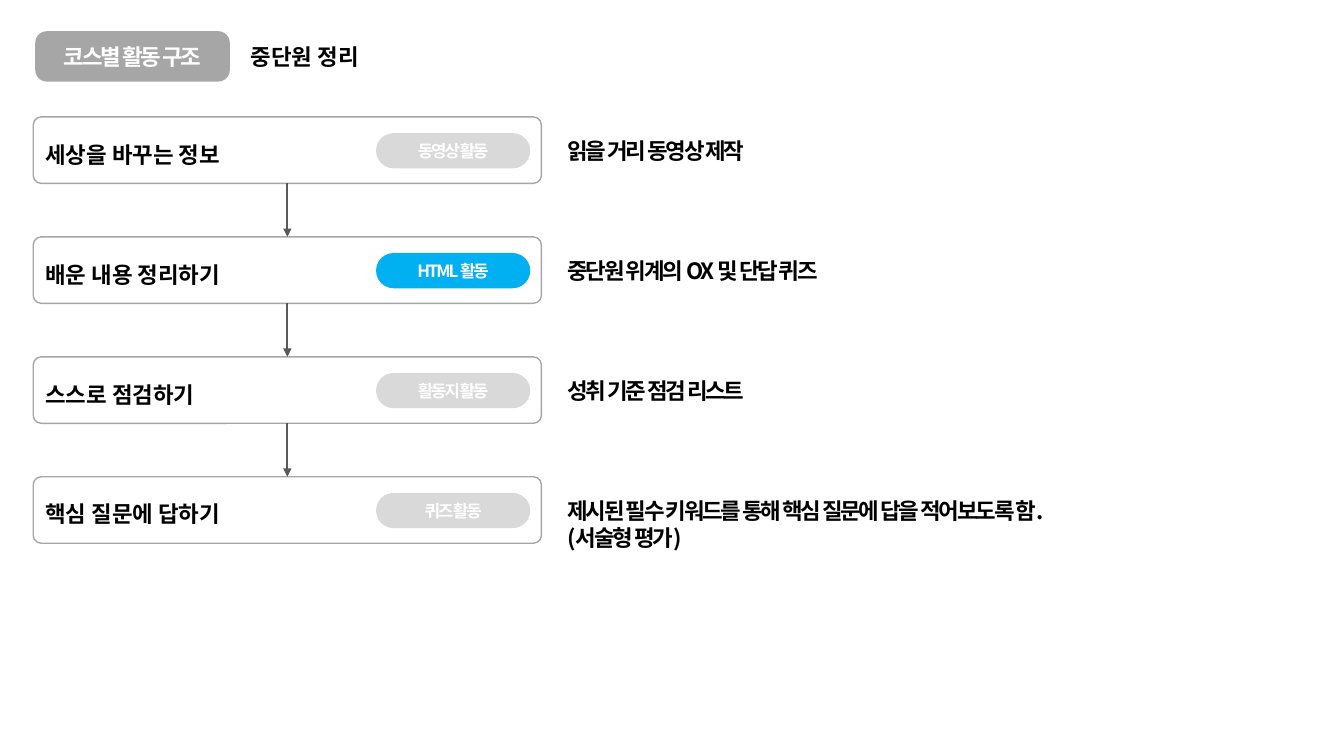
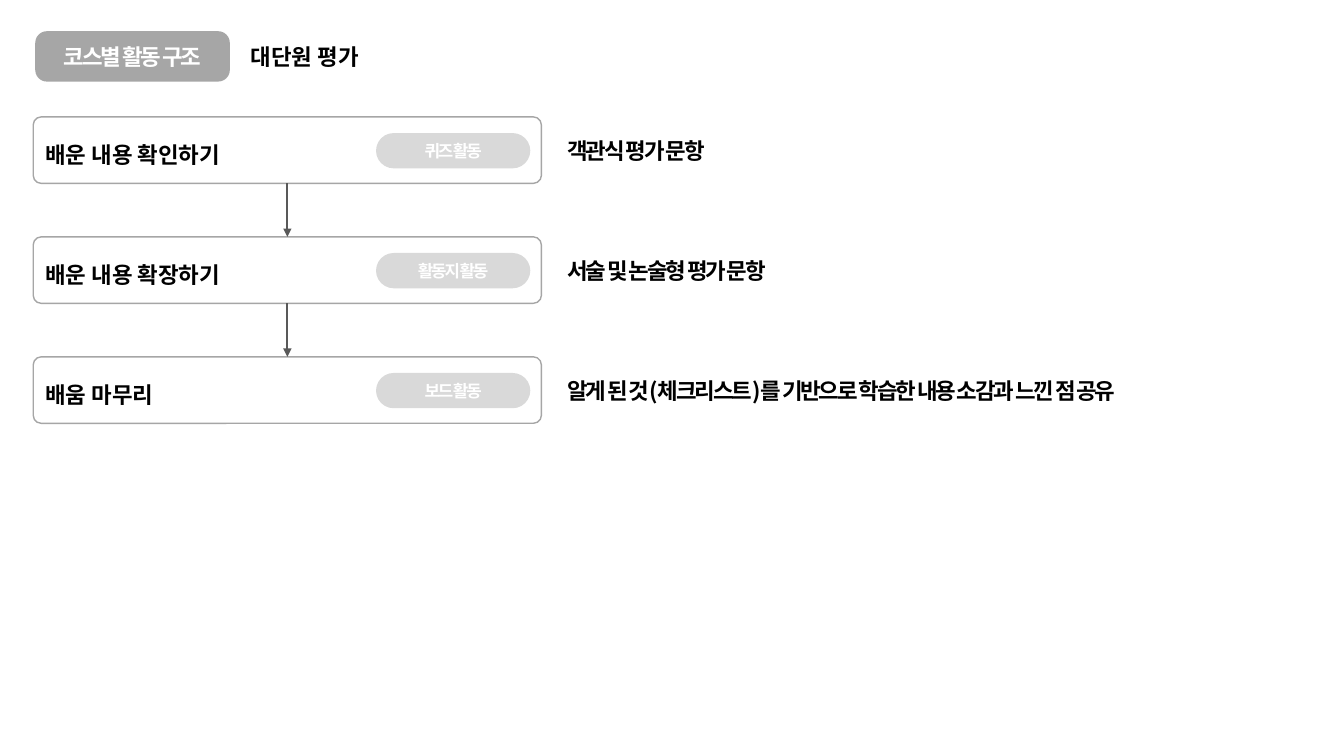
"""Build two slides that show the activity flow of the unit summary and the unit assessment."""
import pptx
import pptx.dml.color
import pptx.enum.shapes
import pptx.enum.text
import pptx.oxml.ns
import pptx.util
from lxml import etree
from pptx.util import Inches

FONT = "Noto Sans CJK KR"
BLACK, WHITE = "000000", "FFFFFF"
GRAY, PALE, DARK, BLUE = "A6A6A6", "D9D9D9", "595959", "00B0F0"
TIGHT = -150
STEP_LEFT, STEP_TOP, STEP_WIDTH, STEP_HEIGHT, STEP_PITCH = 0.33, 1.16, 5.04, 0.66, 1.19

COURSES = [
    ("중단원 정리", [
        ("세상을 바꾸는 정보", "동영상 활동", PALE, ["읽을 거리 동영상 제작"]),
        ("배운 내용 정리하기", "HTML 활동", BLUE, ["중단원 위계의 OX 및 단답 퀴즈"]),
        ("스스로 점검하기", "활동지 활동", PALE, ["성취 기준 점검 리스트"]),
        ("핵심 질문에 답하기", "퀴즈 활동", PALE,
         ["제시된 필수 키워드를 통해 핵심 질문에 답을 적어보도록 함.", "(서술형 평가)"]),
    ]),
    ("대단원 평가", [
        ("배운 내용 확인하기", "퀴즈 활동", PALE, ["객관식 평가 문항"]),
        ("배운 내용 확장하기", "활동지 활동", PALE, ["서술 및 논술형 평가 문항"]),
        ("배움 마무리", "보드 활동", PALE,
         ["알게 된 것(체크리스트)를 기반으로 학습한 내용 소감과 느낀 점 공유"]),
    ]),
]


def rgb(value):
    """Turn a hex string into a colour."""
    return pptx.dml.color.RGBColor.from_string(value)


def apply(target, **values):
    """Set each given attribute on the target."""
    for name, value in values.items():
        setattr(target, name, value)


def write(frame, lines, size=16, color=BLACK, spacing=0, **paragraph_format):
    """Write bold lines into a text frame, one paragraph each."""
    frame.word_wrap = True
    for index, line in enumerate(lines):
        paragraph = frame.paragraphs[0] if index == 0 else frame.add_paragraph()
        apply(paragraph, **paragraph_format)
        run = paragraph.add_run()
        run.text = line
        apply(run.font, size=pptx.util.Pt(size), bold=True, name=FONT)
        run.font.color.rgb = rgb(color)
        properties = run._r.get_or_add_rPr()
        if spacing:
            properties.set("spc", str(spacing))
        east_asian = etree.SubElement(properties, pptx.oxml.ns.qn("a:ea"))
        east_asian.set("typeface", FONT)


def add_label(slide, left, top, width, height, lines, **text_format):
    """Add a text box that grows with its lines."""
    box = slide.shapes.add_textbox(*map(Inches, (left, top, width, height)))
    write(box.text_frame, lines, **text_format)
    box.text_frame.auto_size = pptx.enum.text.MSO_AUTO_SIZE.SHAPE_TO_FIT_TEXT


def add_rounded(slide, left, top, width, height, rounding, text, fill=None, line=None,
                **text_format):
    """Add a rounded rectangle with one line of text."""
    kind = pptx.enum.shapes.MSO_SHAPE.ROUNDED_RECTANGLE
    shape = slide.shapes.add_shape(kind, *map(Inches, (left, top, width, height)))
    shape.shadow.inherit = False
    shape.adjustments[0] = rounding
    if fill:
        shape.fill.solid()
        shape.fill.fore_color.rgb = rgb(fill)
    else:
        shape.fill.background()
    if line:
        shape.line.color.rgb = rgb(line)
        shape.line.width = pptx.util.Pt(1)
    else:
        shape.line.fill.background()
    shape.text_frame.vertical_anchor = pptx.enum.text.MSO_ANCHOR.MIDDLE
    write(shape.text_frame, [text], **text_format)
    return shape


def add_badge(slide, left, top, width, height, rounding, text, fill, size):
    """Add a filled badge with centred white text."""
    add_rounded(slide, left, top, width, height, rounding, text, fill=fill, size=size,
                color=WHITE, spacing=TIGHT, alignment=pptx.enum.text.PP_ALIGN.CENTER)


def add_arrow(slide, upper, lower):
    """Join two steps with a downward arrow."""
    arrow = slide.shapes.add_connector(pptx.enum.shapes.MSO_CONNECTOR.STRAIGHT, 0, 0, 0, 0)
    arrow.begin_connect(upper, 2)
    arrow.end_connect(lower, 0)
    arrow.line.color.rgb = rgb(DARK)
    arrow.line.width = pptx.util.Pt(1.25)
    outline = arrow.line._get_or_add_ln()
    etree.SubElement(outline, pptx.oxml.ns.qn("a:tailEnd")).set("type", "triangle")
    etree.SubElement(arrow._element.spPr, pptx.oxml.ns.qn("a:effectLst"))


def add_step(slide, top, name, activity, activity_color, notes):
    """Add one step with its activity badge and notes."""
    step = add_rounded(slide, STEP_LEFT, top, STEP_WIDTH, STEP_HEIGHT, 0.12, name, line=GRAY,
                       line_spacing=1.3, alignment=pptx.enum.text.PP_ALIGN.LEFT)
    add_badge(slide, 3.73, top + 0.16, 1.53, 0.35, 0.5, activity, activity_color, 12)
    add_label(slide, 5.53, top + 0.15, 6.84, 0.1 + 0.27 * len(notes), notes, spacing=TIGHT)
    return step


def add_course(deck, title, steps):
    """Add a slide with a heading and a chain of steps."""
    slide = deck.slides.add_slide(deck.slide_layouts[6])
    add_label(slide, 2.39, 0.38, 5.29, 0.37, [title])
    add_badge(slide, 0.35, 0.31, 1.93, 0.5, 0.23, "코스별 활동 구조", GRAY, 16)
    chain = [add_step(slide, STEP_TOP + index * STEP_PITCH, *step)
             for index, step in enumerate(steps)]
    for upper, lower in zip(chain, chain[1:]):
        add_arrow(slide, upper, lower)


def main():
    """Build and save the deck."""
    deck = pptx.Presentation()
    apply(deck, slide_width=Inches(13.33), slide_height=Inches(7.5))
    for title, steps in COURSES:
        add_course(deck, title, steps)
    deck.save("out.pptx")


if __name__ == "__main__":
    main()
